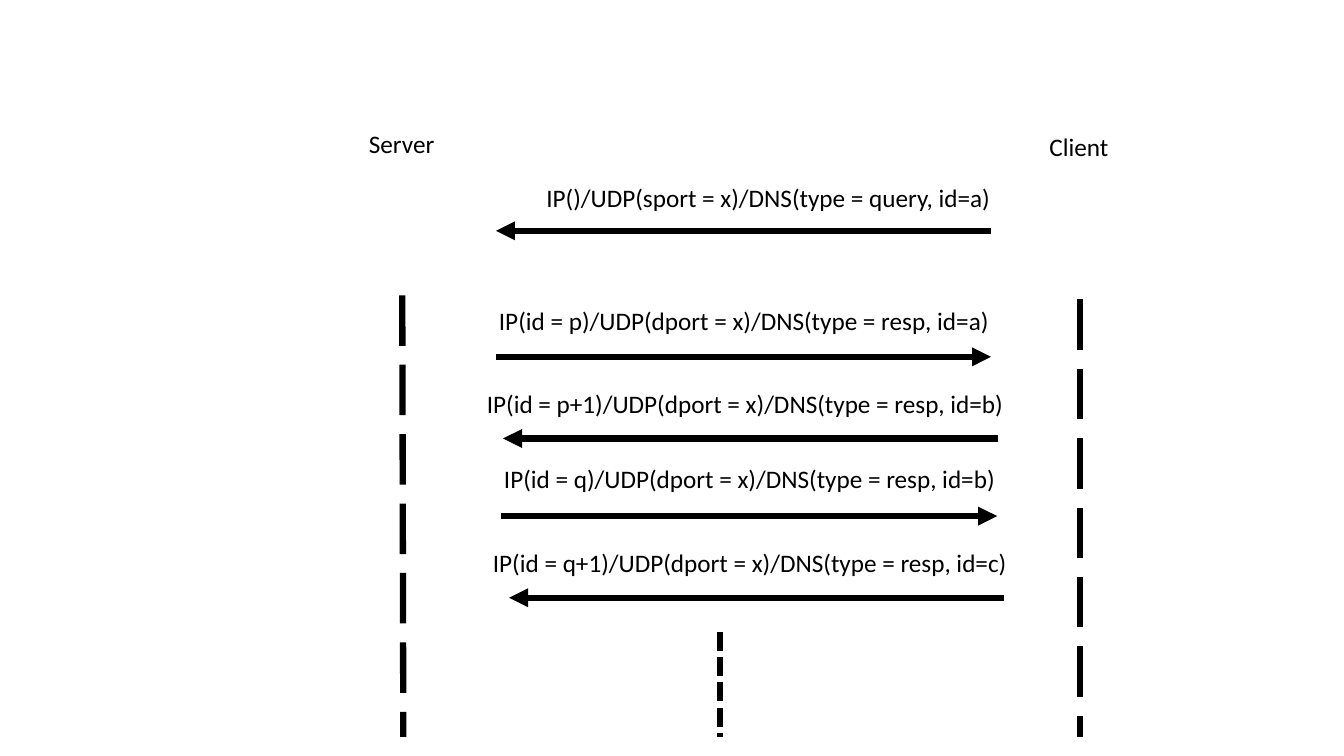
"""Draw the DNS exchange between a server and a client as a sequence diagram."""
from pptx import Presentation
from pptx.dml.color import RGBColor
from pptx.enum.dml import MSO_LINE_DASH_STYLE as Dash
from pptx.enum.shapes import MSO_CONNECTOR as Connector
from pptx.enum.text import MSO_AUTO_SIZE as AutoSize
from pptx.oxml.ns import qn
from pptx.util import Inches, Pt
from lxml.etree import SubElement

PARTIES = [("Server", 3.56, 1.22, 0.86), ("Client", 10.31, 1.25, 0.79)]
# text, text left, text top, text width, arrow start, arrow end, arrow height
MESSAGES = [
    ("IP()/UDP(sport = x)/DNS(type = query, id=a)", 5.32, 1.76, 4.65, 9.83, 4.92, 2.29),
    ("IP(id = p)/UDP(dport = x)/DNS(type = resp, id=a)", 4.85, 2.98, 5.12, 4.92, 9.83, 3.54),
    ("IP(id = p+1)/UDP(dport = x)/DNS(type = resp, id=b)", 4.73, 3.8, 5.39, 9.9, 4.99, 4.35),
    ("IP(id = q)/UDP(dport = x)/DNS(type = resp, id=b)", 4.9, 4.55, 5.12, 4.97, 9.89, 5.12),
    ("IP(id = q+1)/UDP(dport = x)/DNS(type = resp, id=c)", 4.79, 5.38, 5.39, 9.96, 5.05, 5.93),
]
LIFELINE_END = 7.31
LIFELINES = [
    ((3.99, 2.93), (4, LIFELINE_END), Dash.LONG_DASH),
    ((10.71, 2.97), (10.71, LIFELINE_END), Dash.LONG_DASH),
    ((7.14, 6.27), (7.14, LIFELINE_END), Dash.SQUARE_DOT),
]
THEME = {"ink": RGBColor(0, 0, 0), "paper": RGBColor(255, 255, 255),
         "font": {"name": "Calibri", "size": Pt(18)}, "stroke": Pt(4.5)}
LABEL_HEIGHT = 0.4


def add_label(page, text, left, top, width):
    box = page.shapes.add_textbox(*map(Inches, (left, top, width, LABEL_HEIGHT)))
    frame = box.text_frame
    frame.word_wrap = False
    frame.auto_size = AutoSize.SHAPE_TO_FIT_TEXT
    span = frame.paragraphs[0].add_run()
    span.text = text
    for name, value in THEME["font"].items():
        setattr(span.font, name, value)
    span.font.color.rgb = THEME["ink"]


def add_line(page, start, end, dash=None, arrow=False):
    link = page.shapes.add_connector(Connector.STRAIGHT, *map(Inches, (*start, *end)))
    link.line.color.rgb = THEME["ink"]
    link.line.width = THEME["stroke"]
    if dash:
        link.line.dash_style = dash
    if arrow:
        SubElement(link.line._get_or_add_ln(), qn("a:tailEnd"), type="triangle")
    SubElement(link._element.spPr, qn("a:effectLst"))


def main():
    deck = Presentation()
    deck.slide_width, deck.slide_height = Inches(13.33), Inches(7.5)
    page = deck.slides.add_slide(deck.slide_layouts[6])
    page.background.fill.solid()
    page.background.fill.fore_color.rgb = THEME["paper"]
    for party in PARTIES:
        add_label(page, *party)
    for start, end, dash in LIFELINES:
        add_line(page, start, end, dash=dash)
    for text, left, top, width, start, end, height in MESSAGES:
        add_label(page, text, left, top, width)
        add_line(page, (start, height), (end, height), arrow=True)
    deck.save("out.pptx")


if __name__ == "__main__":
    main()
